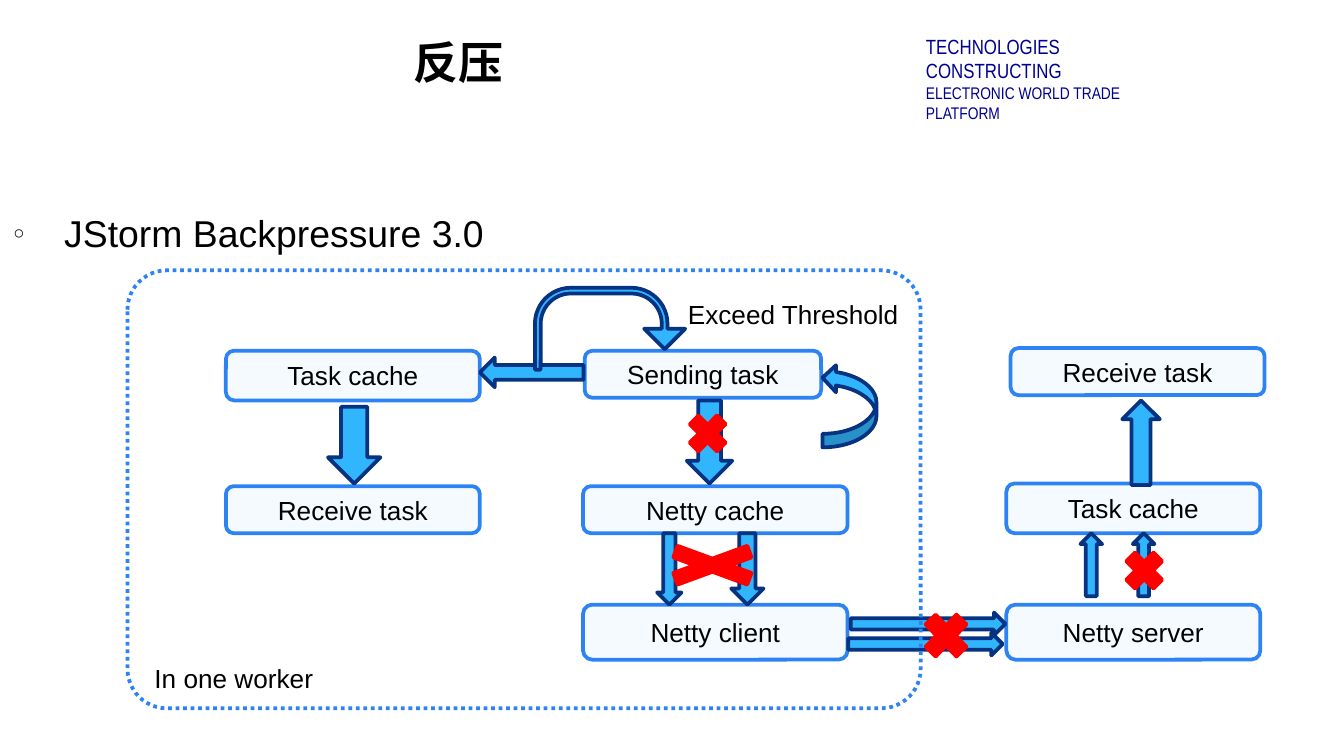
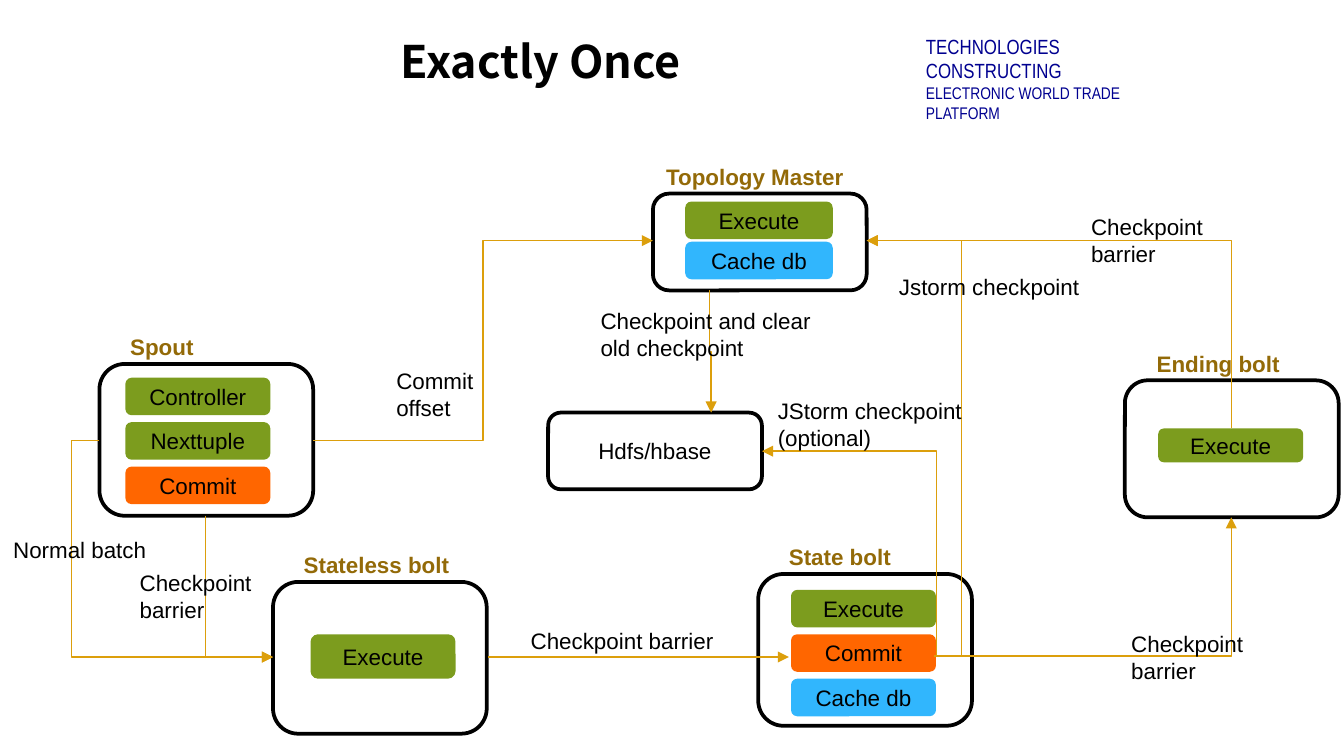
from dataclasses import dataclass

from lxml.etree import SubElement
from pptx import Presentation
from pptx.dml.color import RGBColor
from pptx.enum.dml import MSO_LINE
from pptx.enum.shapes import MSO_CONNECTOR, MSO_SHAPE
from pptx.enum.text import MSO_ANCHOR, MSO_AUTO_SIZE, PP_ALIGN
from pptx.oxml.ns import qn
from pptx.util import Cm, Pt


@dataclass(frozen=True)
class Theme:
    font: str = "Arial"
    narrow_font: str = "Arial Narrow"
    title_font: str = "Noto Sans CJK SC"
    black: str = "000000"
    white: str = "FFFFFF"
    navy: str = "000090"
    pale: str = "C6E7FC"
    blue: str = "2D83F4"
    sky: str = "31B6FD"
    dark_blue: str = "053281"
    red: str = "FF0000"
    green: str = "7C9C1E"
    orange: str = "FF6600"
    brown: str = "936A08"
    gold: str = "DC9F0C"
    title_size: int = 24
    body_size: int = 20
    flow_size: int = 14
    node_size: int = 12
    outline: float = 2
    thin: float = 0.75


THEME = Theme()

# All places are (left, top, width, height) in centimetres.
HEADER_PLACE = (17.25, 0.51, 5.16, 1.12)
HEADER = [("TECHNOLOGIES CONSTRUCTING", 11), ("ELECTRONIC WORLD TRADE PLATFORM", 9)]

BACKPRESSURE_TITLE = ("反压", (7.57, 0.51, 5.31, 1.32))
BACKPRESSURE_BULLET = ("JStorm Backpressure 3.0", (0, 3.6, 22.86, 9.07))
STEPS = [
    ("Netty client", (11.02, 11.43, 5, 1.04)),
    ("Netty cache", (11.02, 9.19, 5, 0.89)),
    ("Sending task", (11.05, 6.63, 4.47, 0.89)),
    ("Netty server", (19.02, 11.43, 4.8, 1.04)),
    ("Task cache", (19.02, 9.14, 4.8, 0.94)),
    ("Receive task", (19.1, 6.58, 4.8, 0.89)),
    ("Task cache", (4.27, 6.63, 4.8, 0.94)),
    ("Receive task", (4.27, 9.19, 4.8, 0.89)),
]
# Preset, place, rotation, adjustments
ARROWS = [
    (MSO_SHAPE.DOWN_ARROW, (12.98, 7.57, 0.86, 1.57), 0, ()),
    (MSO_SHAPE.DOWN_ARROW, (12.42, 10.08, 0.46, 1.35), 0, ()),
    (MSO_SHAPE.DOWN_ARROW, (13.82, 10.08, 0.61, 1.35), 0, ()),
    (MSO_SHAPE.RIGHT_ARROW, (16.08, 11.58, 2.92, 0.43), 0, ()),
    (MSO_SHAPE.RIGHT_ARROW, (16.03, 11.96, 2.92, 0.43), 0, ()),
    (MSO_SHAPE.UP_ARROW, (20.42, 10.08, 0.41, 1.19), 0, ()),
    (MSO_SHAPE.UP_ARROW, (21.41, 10.08, 0.41, 1.19), 0, ()),
    (MSO_SHAPE.UP_ARROW, (21.21, 7.57, 0.71, 1.6), 0, ()),
    (MSO_SHAPE.LEFT_ARROW, (9.07, 6.76, 1.96, 0.56), 0, ()),
    (MSO_SHAPE.LEFT_ARROW, (5.97, 7.92, 1.45, 0.99), 270, ()),
    (MSO_SHAPE.U_TURN_ARROW, (10.11, 5.44, 2.84, 1.55), 0, (0.07, 0.25, 0.25, 0.44, 0.75)),
    (MSO_SHAPE.CURVED_UP_ARROW, (15.27, 7.16, 1.57, 1.02), 270, ()),
]
CROSSES = [
    (21.13, 10.29, 0.99, 0.99),
    (17.32, 11.43, 1.12, 1.17),
    (12.12, 10.19, 2.69, 0.99),
    (12.88, 7.7, 0.99, 0.99),
]
WORKER_PLACE = (2.41, 5.11, 14.99, 8.28)
FLOW_LABELS = [
    ("In one worker", (2.67, 12.4, 4.8, 0.86)),
    ("Exceed Threshold", (12.75, 5.51, 6.27, 0.86)),
]

ONCE_TITLE = ("Exactly Once", (7.32, 0.48, 7.85, 1.32))
CHIP_COLOURS = {
    "Controller": THEME.green,
    "Nexttuple": THEME.green,
    "Execute": THEME.green,
    "Commit": THEME.orange,
    "Cache db": THEME.sky,
}
# Name, name indent, name width, place, first chip place, chip pitch, chips
NODES = [
    ("Spout", 0.33, 2.74, (1.88, 6.88, 4.04, 2.87),
     (2.37, 7.14, 2.74, 0.71), 0.84, ["Controller", "Nexttuple", "Commit"]),
    ("Stateless bolt", 0.33, 3.71, (5.16, 11, 4.04, 2.87),
     (5.87, 11.99, 2.74, 0.84), 0, ["Execute"]),
    ("State bolt", 0.33, 2.74, (14.33, 10.85, 4.04, 2.87),
     (14.95, 11.15, 2.74, 0.71), 0.84, ["Execute", "Commit", "Cache db"]),
    ("Ending bolt", 0.35, 3.38, (21.26, 7.19, 4.04, 2.59),
     (21.89, 8.1, 2.74, 0.64), 0, ["Execute"]),
    ("Topology Master", 0, 4.22, (12.34, 3.66, 4.04, 1.83),
     (12.95, 3.81, 2.79, 0.71), 0.76, ["Execute", "Cache db"]),
]
NAME_RISE, NAME_HEIGHT = 0.7, 0.76
STORE = ("Hdfs/hbase", (10.36, 7.8, 4.04, 1.45))
# Start, end, leaves vertically, share of the way at which it turns (None: one corner)
LINKS = [
    ((1.88, 8.33), (5.16, 12.42), False, -0.16),
    ((5.92, 8.33), (12.34, 4.55), False, 0.5),
    ((3.89, 9.75), (5.16, 12.42), True, None),
    ((9.22, 12.42), (14.91, 12.42), False, 0.5),
    ((17.7, 12.4), (14.4, 8.53), True, None),
    ((17.65, 12.4), (16.38, 4.55), False, -0.41),
    ((17.7, 12.4), (23.27, 9.78), False, None),
    ((23.27, 8.1), (16.38, 4.55), True, None),
    ((13.41, 5.49), (13.44, 7.8), True, 0.5),
]
LINK_LABELS = [
    ("Normal batch", (0, 10.01, 3.78, 0.76)),
    ("Commit offset", (7.24, 6.81, 2.97, 1.27)),
    ("Checkpoint barrier", (2.39, 10.64, 2.84, 1.27)),
    ("Checkpoint barrier", (9.78, 11.73, 5.03, 0.76)),
    ("JStorm checkpoint (optional)", (14.45, 7.39, 4.42, 1.27)),
    ("Jstorm checkpoint", (16.74, 5.03, 4.39, 0.76)),
    ("Checkpoint barrier", (21.13, 11.79, 3.84, 1.27)),
    ("Checkpoint barrier", (20.37, 3.91, 3.9, 1.27)),
    ("Checkpoint and clear old checkpoint", (11.1, 5.69, 4.78, 1.27)),
]


def lengths(place):
    return [Cm(value) for value in place]


def add_span(para, text, size, colour=THEME.black, font=THEME.font, bold=False):
    span = para.add_run()
    span.text = text
    span.font.size = Pt(size)
    span.font.name = font
    span.font.bold = bold
    span.font.color.rgb = RGBColor.from_string(colour)
    return span


def move(placeholder, place):
    placeholder.left, placeholder.top, placeholder.width, placeholder.height = lengths(place)
    placeholder.text_frame.auto_size = MSO_AUTO_SIZE.NONE


def set_title(page, text, place):
    title = page.shapes.title
    move(title, place)
    title.text_frame.vertical_anchor = MSO_ANCHOR.MIDDLE
    para = title.text_frame.paragraphs[0]
    para.alignment = PP_ALIGN.LEFT
    span = add_span(para, text, THEME.title_size, font=THEME.title_font, bold=True)
    SubElement(span.font._element, qn("a:ea"), typeface=THEME.title_font)


def set_bullet(page, text, place):
    body = page.placeholders[1]
    move(body, place)
    para = body.text_frame.paragraphs[0]
    para.line_spacing = 1.3
    para.space_before = Pt(0)
    properties = para._p.get_or_add_pPr()
    properties.set("marL", str(Cm(0.96)))
    properties.set("indent", str(Cm(-0.96)))
    SubElement(properties, qn("a:buSzPct"), val="50000")
    SubElement(properties, qn("a:buChar"), char="○")
    add_span(para, text, THEME.body_size)


def add_label(page, lines, place, **style):
    """Add a text box with one paragraph for each (text, size) in lines."""
    box = page.shapes.add_textbox(*lengths(place))
    frame = box.text_frame
    frame.word_wrap = True
    frame.auto_size = MSO_AUTO_SIZE.SHAPE_TO_FIT_TEXT
    for index, (text, size) in enumerate(lines):
        para = frame.add_paragraph() if index else frame.paragraphs[0]
        add_span(para, text, size, **style)
    return box


def add_block(page, preset, place, fill=None, line=None, opacity=None, text=None, size=None):
    block = page.shapes.add_shape(preset, *lengths(place))
    block.shadow.inherit = False
    if fill:
        block.fill.solid()
        block.fill.fore_color.rgb = RGBColor.from_string(fill)
    else:
        block.fill.background()
    if opacity:
        colour = block.element.spPr.xpath("a:solidFill/a:srgbClr")[0]
        SubElement(colour, qn("a:alpha"), val=str(opacity * 1000))
    if line:
        block.line.color.rgb = RGBColor.from_string(line)
        block.line.width = Pt(THEME.outline)
    else:
        block.line.fill.background()
    if text:
        block.text_frame.vertical_anchor = MSO_ANCHOR.MIDDLE
        para = block.text_frame.paragraphs[0]
        para.alignment = PP_ALIGN.CENTER
        add_span(para, text, size)
    return block


def add_link(page, start, end, vertical, turn):
    link = page.shapes.add_connector(MSO_CONNECTOR.ELBOW, *lengths(start + end))
    link.line.color.rgb = RGBColor.from_string(THEME.gold)
    link.line.width = Pt(THEME.thin)
    SubElement(link.line._get_or_add_ln(), qn("a:tailEnd"), type="triangle")
    properties = link.element.spPr
    SubElement(properties, qn("a:effectLst"))
    geometry = properties.find(qn("a:prstGeom"))
    if turn is None:
        geometry.set("prst", "bentConnector2")
    else:
        SubElement(geometry.find(qn("a:avLst")), qn("a:gd"),
                   name="adj1", fmla=f"val {round(turn * 100000)}")
    if vertical:
        turn_upright(link, start, end)


def turn_upright(link, start, end):
    """Rotate the frame a quarter turn so that the link leaves its start vertically."""
    across, down = end[0] - start[0], end[1] - start[1]
    width, height = abs(down), abs(across)
    link.left = Cm((start[0] + end[0] - width) / 2)
    link.top = Cm((start[1] + end[1] - height) / 2)
    link.width, link.height = Cm(width), Cm(height)
    frame = link.element.spPr.find(qn("a:xfrm"))
    frame.set("rot", str(270 * 60000))
    frame.set("flipH", str(int(down > 0)))
    frame.set("flipV", str(int(across < 0)))


def add_header(deck, page):
    """Place the slogan on the master, where every slide shows it."""
    box = add_label(page, HEADER, HEADER_PLACE, colour=THEME.navy, font=THEME.narrow_font)
    box.element.xpath(".//p:cNvPr")[0].set("id", "20")
    deck.slide_master.shapes.element.append(box.element)


def build_backpressure(page):
    set_title(page, *BACKPRESSURE_TITLE)
    set_bullet(page, *BACKPRESSURE_BULLET)
    for text, place in STEPS:
        add_block(page, MSO_SHAPE.ROUNDED_RECTANGLE, place, THEME.pale, THEME.blue,
                  18, text, THEME.flow_size)
    for preset, place, rotation, adjustments in ARROWS:
        arrow = add_block(page, preset, place, THEME.sky, THEME.dark_blue)
        arrow.rotation = rotation
        for index, value in enumerate(adjustments):
            arrow.adjustments[index] = value
    for place in CROSSES:
        add_block(page, MSO_SHAPE.MATH_MULTIPLY, place, THEME.red, THEME.red)
    worker = add_block(page, MSO_SHAPE.ROUNDED_RECTANGLE, WORKER_PLACE, line=THEME.blue)
    worker.adjustments[0] = 0.09
    worker.line.dash_style = MSO_LINE.ROUND_DOT
    for text, place in FLOW_LABELS:
        add_label(page, [(text, THEME.flow_size)], place)


def build_exactly_once(page):
    set_title(page, *ONCE_TITLE)
    rounded = MSO_SHAPE.ROUNDED_RECTANGLE
    for name, indent, name_width, place, first_chip, pitch, chips in NODES:
        add_block(page, rounded, place, THEME.white, THEME.black, 55)
        name_place = (place[0] + indent, place[1] - NAME_RISE, name_width, NAME_HEIGHT)
        add_label(page, [(name, THEME.node_size)], name_place, colour=THEME.brown, bold=True)
        left, top, width, height = first_chip
        for row, chip in enumerate(chips):
            add_block(page, rounded, (left, top + row * pitch, width, height),
                      CHIP_COLOURS[chip], text=chip, size=THEME.node_size)
    text, place = STORE
    add_block(page, rounded, place, THEME.white, THEME.black, 55, text, THEME.node_size)
    for link in LINKS:
        add_link(page, *link)
    for text, place in LINK_LABELS:
        add_label(page, [(text, THEME.node_size)], place)


def main():
    deck = Presentation()
    deck.slide_width, deck.slide_height = Cm(25.4), Cm(14.29)
    backpressure = deck.slides.add_slide(deck.slide_layouts.get_by_name("Title and Content"))
    add_header(deck, backpressure)
    build_backpressure(backpressure)
    build_exactly_once(deck.slides.add_slide(deck.slide_layouts.get_by_name("Title Only")))
    deck.save("out.pptx")


if __name__ == "__main__":
    main()
